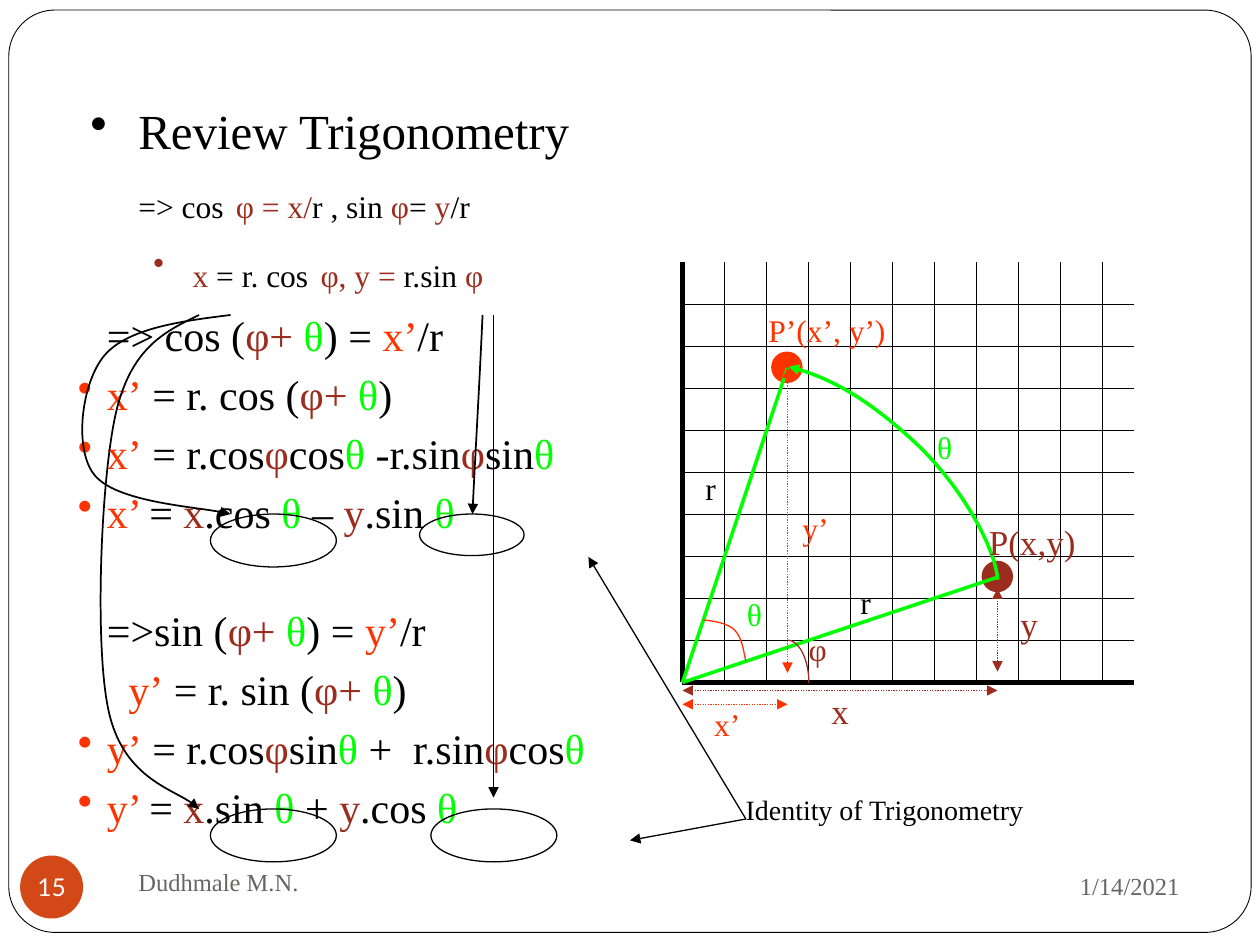
from lxml import etree
from pptx import Presentation
from pptx.dml.color import RGBColor
from pptx.enum import dml, shapes, text
from pptx.oxml.ns import qn
from pptx.util import Inches, Pt

hue = RGBColor.from_string
BLACK, BROWN, GREEN, RED, GREY = "000000", "9B2D1F", "00FF00", "FF3300", "696464"
INK = {"k": BLACK, "b": BROWN, "g": GREEN, "r": RED}
OVAL = shapes.MSO_SHAPE.OVAL

deck = Presentation()
deck.slide_width, deck.slide_height = Inches(10), Inches(7.5)
page = deck.slides.add_slide(deck.slide_layouts[6]).shapes


def write(rows, x, y, w, h, size=18, color=BLACK, wrap=False, align=None, anchor=None):
    """Rows are strings, or (left, hang, gap, marked text, size); each marked run
    starts with a colour letter, and S stands for a wide 28 pt space."""
    box = page.add_textbox(Inches(x), Inches(y), Inches(w), Inches(h))
    frame = box.text_frame
    frame.word_wrap = wrap
    frame.vertical_anchor = anchor
    for i, row in enumerate([rows] if isinstance(rows, str) else rows):
        para = frame.paragraphs[0] if i == 0 else frame.add_paragraph()
        para.alignment = align
        runs = [(color, size, row)]
        if not isinstance(row, str):
            left, hang, gap, marked, size = row
            props = para._p.get_or_add_pPr()
            props.set("marL", str(Inches(left)))
            props.set("indent", str(-Inches(hang)))
            if hang:
                etree.SubElement(props, qn("a:buChar")).set("char", "•")
            if i:
                para.space_before = Pt(gap)
            runs = [(BLACK, 28, " ") if part == "S" else (INK[part[0]], size, part[1:])
                    for part in marked.split("|")]
        for ink, pts, words in runs:
            run = para.add_run()
            run.text = words
            run.font.name = "Times New Roman"
            run.font.size = Pt(pts)
            run.font.color.rgb = hue(ink)


def stroke(pts, color=BLACK, width=0.75, head=False, tail=False, dots=False):
    """Two points make a straight line; 3n + 1 points make n Bezier arcs."""
    pts = [(Inches(x), Inches(y)) for x, y in pts]
    if len(pts) == 2:
        item = page.add_connector(shapes.MSO_CONNECTOR.STRAIGHT, *pts[0], *pts[1])
        etree.SubElement(item._element.spPr, qn("a:effectLst"))
    else:
        path = page.build_freeform(*pts[0])
        path.add_line_segments(pts[1:], close=False)
        item = path.convert_to_shape()
        # Turn every three straight steps into one cubic arc
        steps = list(item._element.iter(qn("a:lnTo")))
        for k in range(0, len(steps), 3):
            arc = etree.SubElement(steps[k].getparent(), qn("a:cubicBezTo"))
            for step in steps[k:k + 3]:
                arc.append(step[0])
                step.getparent().remove(step)
        item.fill.background()
        item.shadow.inherit = False
    item.line.color.rgb = hue(color)
    item.line.width = Pt(width)
    if dots:
        item.line.dash_style = dml.MSO_LINE.ROUND_DOT
    for name, show in (("a:headEnd", head), ("a:tailEnd", tail)):
        if show:
            etree.SubElement(item.line._get_or_add_ln(), qn(name)).set("type", "triangle")


# Page frame
frame = page.add_shape(shapes.MSO_SHAPE.ROUNDED_RECTANGLE,
                       Inches(0.07), Inches(0.08), Inches(9.86), Inches(7.32))
frame.adjustments[0] = 0.05
frame.shadow.inherit = False
frame.fill.solid()
frame.fill.fore_color.rgb = hue("FFFFFF")
frame.line.color.rgb = hue(BLACK)
frame.line.width = Pt(0.5)

# Heading and definitions
write([
    (0.38, 0.38, 0, "kReview Trigonometry", 28),
    (0.38, 0, 5.6, "k=> cos|S|bφ = x/|kr , sin |bφ|k= |by|k/r", 18),
    (0.81, 0.31, 5.6, "bx|k = r. cos|S|bφ, y = |kr.sin |bφ", 18),
], 0.62, 0.75, 4.83, 1.75, wrap=True)

# Axes and grid, in twelfths of an inch
ox, oy, top, end = 65 / 12, 65 / 12, 25 / 12, 9
for i in range(11):
    stroke([(ox + i / 3, top), (ox + i / 3, oy)], width=0.75 if i else 3)
for i in range(10):
    stroke([(ox, oy - i / 3), (end, oy - i / 3)], width=0.75 if i else 3)

# Points P and P'
for x, y, color in ((7.79, 4.45, BROWN), (6.12, 2.79, RED)):
    dot = page.add_shape(OVAL, Inches(x), Inches(y), Inches(0.25), Inches(0.25))
    dot.shadow.inherit = False
    dot.fill.solid()
    dot.fill.fore_color.rgb = hue(color)
    dot.line.fill.background()

# Radii, rotation and angle arcs
for tip in ((7.92, 4.58), (6.25, 2.92)):
    stroke([(ox, oy), tip], GREEN, 2)
stroke([(7.92, 4.6), (7.89, 4.31), (7.6, 3.82), (7.25, 3.5),
        (6.9, 3.18), (6.58, 2.99), (6.26, 2.91)], GREEN, 2, tail=True)
stroke([(6.25, 5.08), (6.34, 5.08), (6.42, 5.23), (6.42, 5.42)], BROWN)
stroke([(5.92, 5.25), (5.9, 5.16), (5.89, 5.06), (5.83, 5),
        (5.78, 4.95), (5.68, 4.93), (5.58, 4.92)], RED)

# Dotted measures
px = 95 / 12
for a, b, color in (((px, 4.67), (px, 5.33), BROWN), ((ox, 5.48), (px, 5.48), BROWN),
                    ((6.25, 2.92), (6.25, 5.34), RED), ((ox, 5.59), (6.25, 5.59), RED)):
    stroke([a, b], color, head=True, tail=True, dots=True)

# Diagram labels
for words, x, y, w, h, size, color in (
        ("θ", 7.34, 3.35, 0.33, 0.4, 18, GREEN), ("θ", 5.83, 4.67, 0.33, 0.4, 18, GREEN),
        ("φ", 6.32, 4.95, 0.46, 0.5, 18, BROWN), ("P(x,y)", 7.75, 4.08, 0.9, 0.43, 20, BROWN),
        ("x", 6.5, 5.42, 0.34, 0.43, 20, BROWN), ("y", 8, 4.73, 0.34, 0.43, 20, BROWN),
        ("x’", 5.57, 5.55, 0.41, 0.4, 18, RED), ("y’", 6.27, 3.99, 0.56, 0.4, 18, RED),
        ("P’(x’, y’)", 6, 2.42, 1.15, 0.4, 18, RED),
        ("r", 6.73, 4.58, 0.35, 0.5, 18, BLACK), ("r", 5.5, 3.67, 0.35, 0.5, 18, BLACK),
        ("Identity of Trigonometry", 5.82, 6.24, 2.51, 0.5, 16, BLACK)):
    write(words, x, y, w, h, size, color)

# Derivation
write([
    (0.5, 0, 0, "k=> cos (|bφ+ |gθ|k) = |rx’|k/r", 24),
    (0.5, 0.23, 4.9, "rx’|k = r. cos (|bφ+ |gθ|k)", 24),
    (0.5, 0.23, 4.9, "rx’|k = r.cos|bφ|kcos|gθ|k -r.sin|bφ|ksin|gθ", 24),
    (0.5, 0.23, 4.9, "rx’ |k= |bx|k.cos |gθ|k – |by|k.sin |gθ", 24),
    (0.5, 0, 38.2, "k=>sin (|bφ+ |gθ|k) = |ry’|k/r", 24),
    (0.67, 0, 4.9, "ry’|k = r. sin (|bφ+ |gθ|k)", 24),
    (0.5, 0.23, 4.9, "ry’|k = r.cos|bφ|ksin|gθ|k +  r.sin|bφ|kcos|gθ", 24),
    (0.5, 0.23, 4.9, "ry’ |k= |bx|k.sin |gθ|k + |by|k.cos |gθ", 24),
], 0.25, 2.41, 4.62, 4.38, wrap=True)

# Rings and the arrows that lead to them
for x, y, w, h in ((1.67, 4.08, 1, 0.42), (3.33, 4.08, 0.83, 0.33),
                   (1.67, 6.42, 1, 0.42), (3.42, 6.42, 1, 0.42)):
    ring = page.add_shape(OVAL, Inches(x), Inches(y), Inches(w), Inches(h))
    ring.shadow.inherit = False
    ring.fill.background()
    ring.line.color.rgb = hue(BLACK)
    ring.line.width = Pt(0.75)
for pts in (
        [(1.83, 2.5), (1.42, 2.55), (1.01, 2.61), (0.83, 2.82),
         (0.65, 3.03), (0.58, 3.56), (0.75, 3.77), (0.92, 3.98), (1.65, 4.03), (1.83, 4.08)],
        [(3.83, 2.5), (3.8, 3.16), (3.76, 3.82), (3.75, 4.08)],
        [(1.58, 2.5), (1.31, 2.63), (1.04, 2.76), (0.92, 3.28),
         (0.8, 3.81), (0.75, 5.11), (0.86, 5.63), (0.97, 6.16), (1.46, 6.29), (1.58, 6.42)]):
    stroke(pts, width=1, tail=True)
drop = 47 / 12
for a, b in (((drop, 2.5), (drop, 6.33)), ((5.92, 6.5), (4.67, 4.42)), ((5.92, 6.5), (5, 6.67))):
    stroke([a, b], tail=True)

# Footer
mid = text.MSO_ANCHOR.MIDDLE
write("1/14/2021", 6.75, 6.77, 2.71, 0.52, 14, GREY, True, text.PP_ALIGN.RIGHT, mid)
write("Dudhmale M.N.", 1, 6.75, 4.33, 0.5, 14, GREY, True, anchor=mid)
badge = page.add_shape(OVAL, Inches(0.16), Inches(6.79), Inches(0.5), Inches(0.5))
badge.shadow.inherit = False
badge.fill.solid()
badge.fill.fore_color.rgb = hue("D34817")
badge.line.fill.background()
note = badge.text_frame
note.margin_left = note.margin_right = note.margin_top = note.margin_bottom = 0
note.word_wrap = False
note.vertical_anchor = mid
note.text = "15"
note.paragraphs[0].alignment = text.PP_ALIGN.CENTER
font = note.paragraphs[0].runs[0].font
font.name, font.size = "Lato", Pt(14)
font.color.rgb = hue("FFFFFF")

deck.save("out.pptx")
